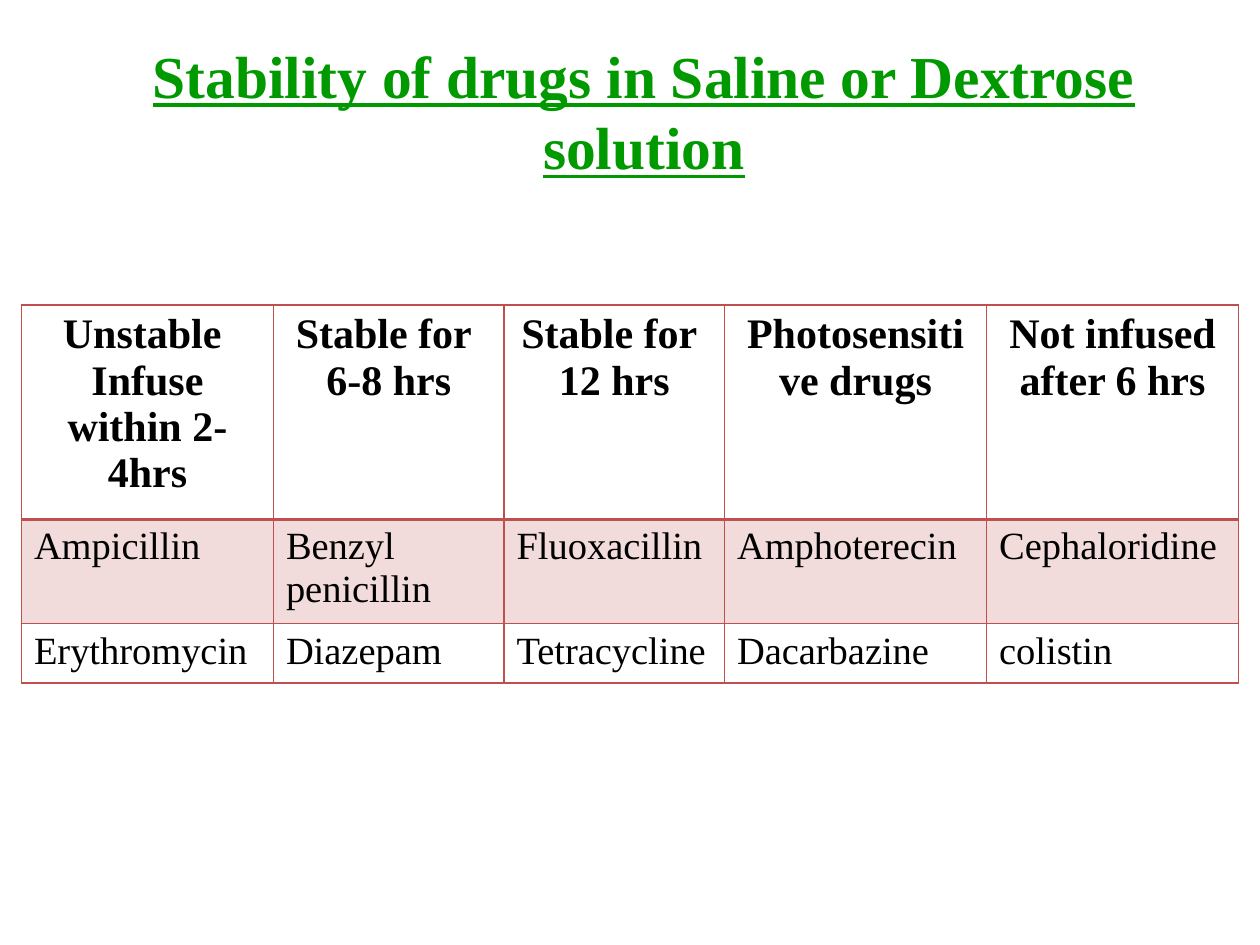
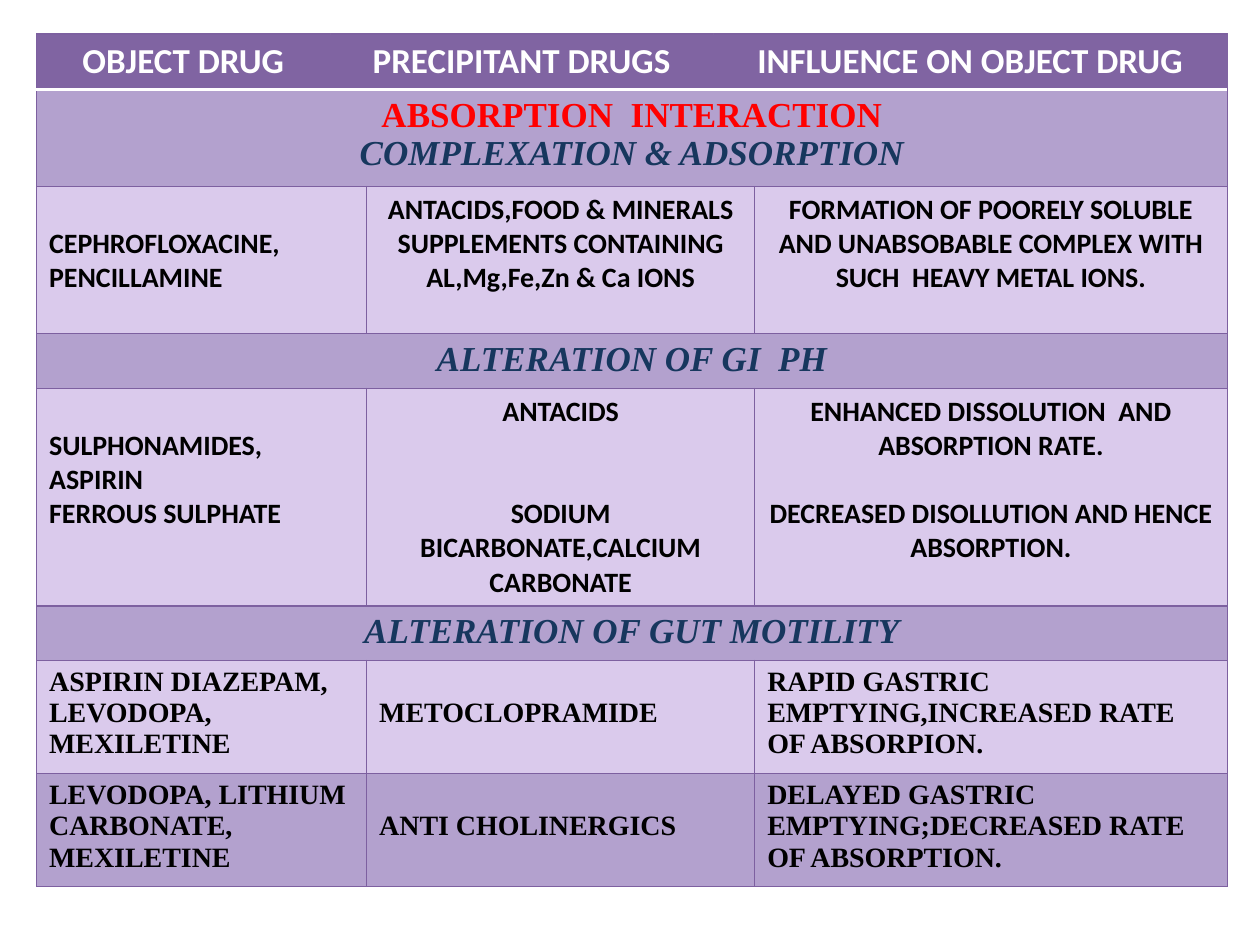
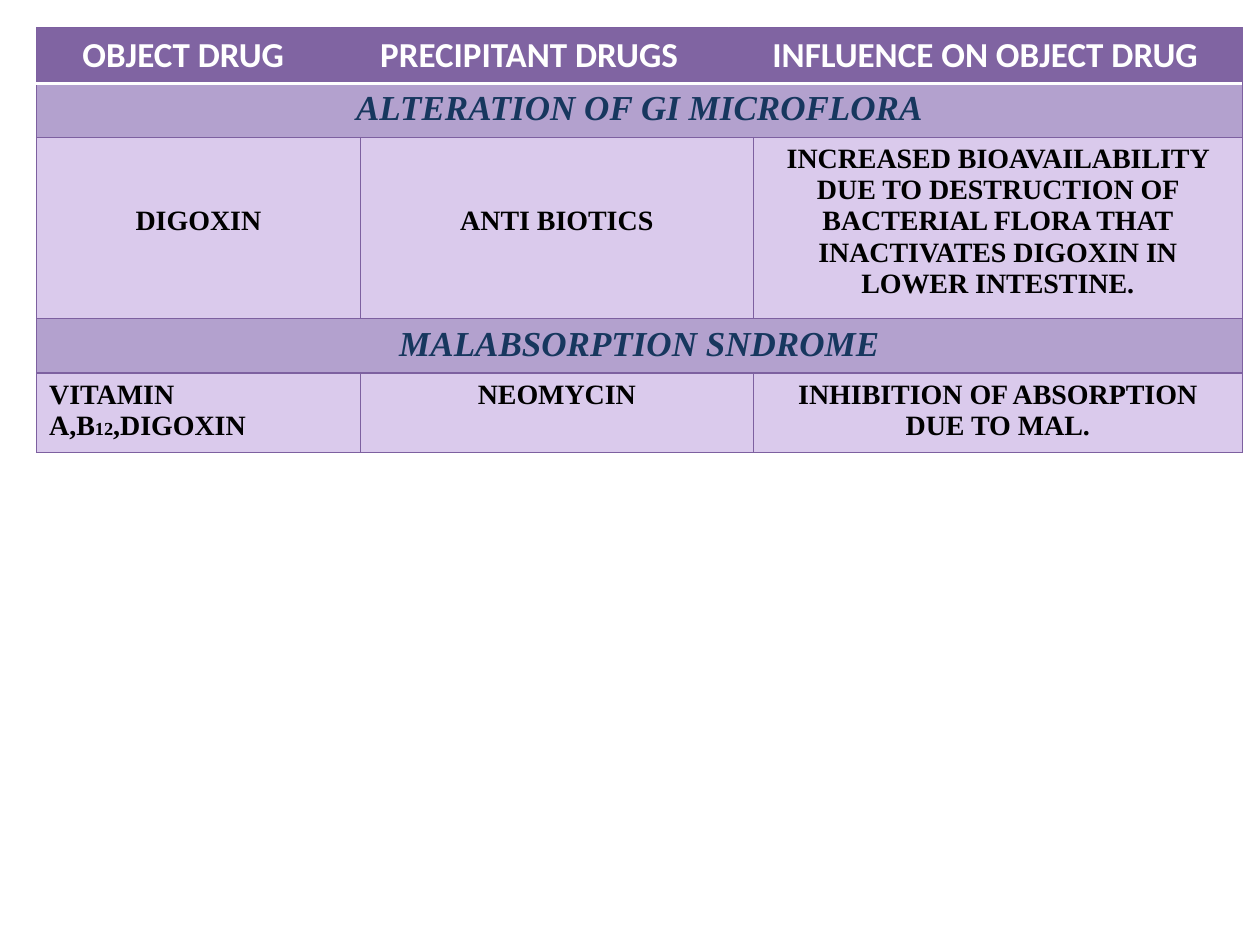
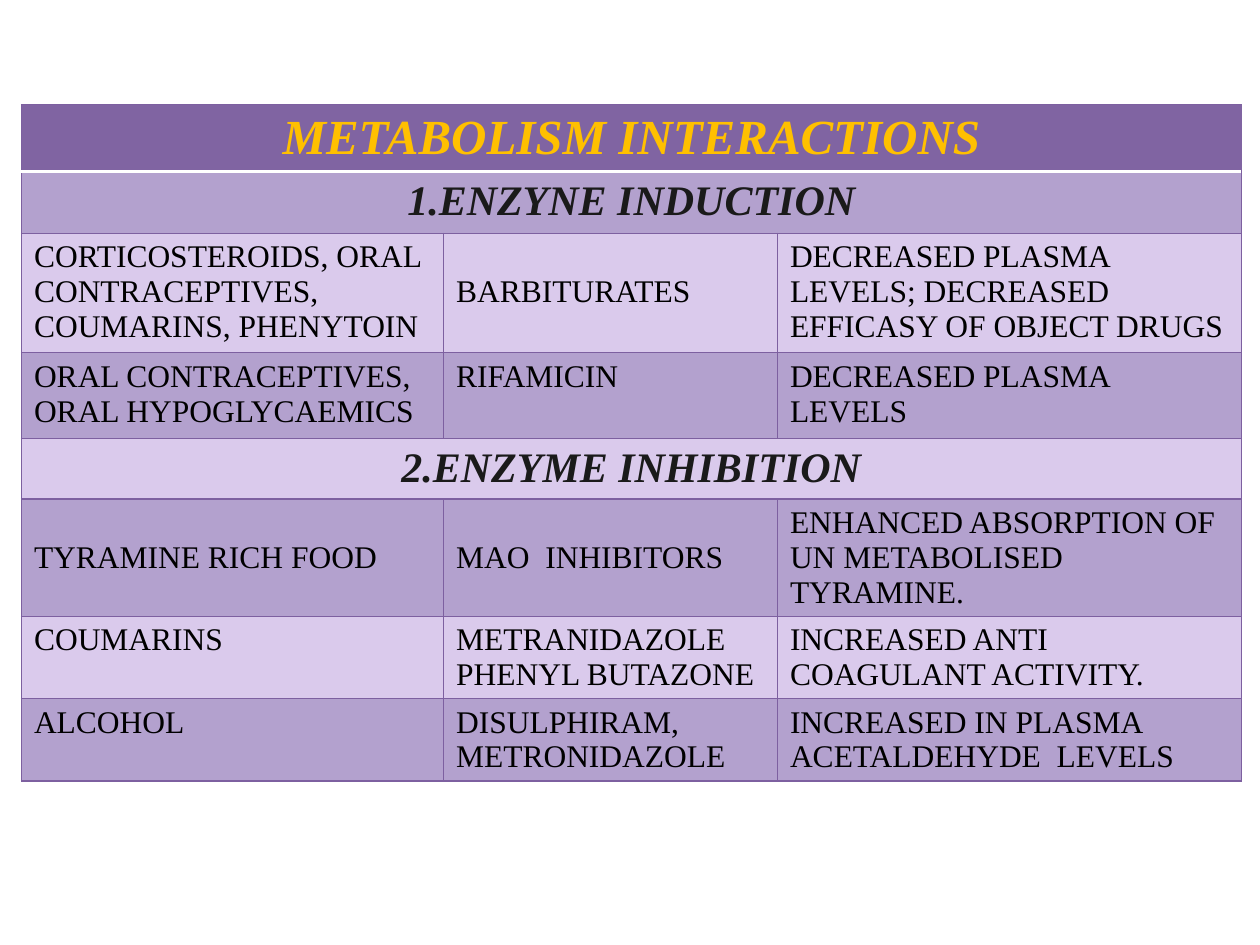
import dataclasses

import pptx
import pptx.dml.color
import pptx.enum.text
import pptx.oxml
import pptx.oxml.ns
import pptx.util
from pptx.util import Inches

COLORS = {
    "green": "009900", "black": "000000", "white": "FFFFFF", "red": "FF0000",
    "navy": "17375E", "gold": "FFC000", "ink": "1A1A1A",
    "purple": "8064A2", "purple_line": "7D60A0", "dark": "B3A1CE", "light": "DACAEC",
    "brick": "C0504D", "pink": "F2DCDB",
}
SERIF, SANS = "Times New Roman", "Calibri"
LINE_HEIGHT = {SERIF: 1.11, SANS: 1.22}
CELL_MARGIN = 0.05


@dataclasses.dataclass
class TextStyle:
    size: float
    font: str = SERIF
    color: str = "black"
    bold: bool = True
    italic: bool = False
    underline: bool = False
    centred: bool = False

    def lines(self, count):
        """Height of a number of lines, in points."""
        return count * self.size * LINE_HEIGHT[self.font]


STYLES = {
    "title": TextStyle(34, color="green", underline=True, centred=True),
    "stability_head": TextStyle(24, centred=True),
    "stability": TextStyle(22, bold=False),
    "head": TextStyle(20, SANS, "white", centred=True),
    "topic": TextStyle(20, color="red", centred=True),
    "section": TextStyle(20, color="navy", italic=True, centred=True),
    "sans": TextStyle(16, SANS),
    "sans_centred": TextStyle(16, SANS, centred=True),
    "serif": TextStyle(16),
    "serif_centred": TextStyle(16, centred=True),
    "index": TextStyle(10.5),
    "metabolism_head": TextStyle(28, color="gold", italic=True, centred=True),
    "enzyme": TextStyle(24, color="ink", italic=True, centred=True),
    "plain": TextStyle(18, bold=False),
}


@dataclasses.dataclass
class Entry:
    style: str
    paragraphs: list     # each a list of (text, style name)
    drop: int = 0        # lines the text starts below the cell's top
    gap: int = 0         # lines between paragraphs


def entry(style, *paragraphs, drop=0, gap=0):
    runs = [[(p, style)] if isinstance(p, str) else p for p in paragraphs]
    return Entry(style, runs, drop, gap)


def entries(style, *texts):
    return [entry(style, *text.split("\n")) for text in texts]


@dataclasses.dataclass
class Row:
    height: float
    fill: str
    cells: list
    starts: tuple = None     # first column of each cell


class Deck:
    def __init__(self):
        self.presentation = pptx.Presentation()
        self.presentation.slide_width = Inches(10)
        self.presentation.slide_height = Inches(7.5)
        self.slide = None

    def new_slide(self, layout=6):
        layouts = self.presentation.slide_layouts
        self.slide = self.presentation.slides.add_slide(layouts[layout])

    def color(self, name):
        return pptx.dml.color.RGBColor.from_string(COLORS[name])

    def add_runs(self, paragraph, runs):
        for text, style_name in runs:
            style = STYLES[style_name]
            run = paragraph.add_run()
            run.text = text
            font = run.font
            font.name, font.size = style.font, pptx.util.Pt(style.size)
            font.bold, font.italic, font.underline = style.bold, style.italic, style.underline
            font.color.rgb = self.color(style.color)
        centred = STYLES[runs[0][1]].centred
        align = pptx.enum.text.PP_ALIGN
        paragraph.alignment = align.CENTER if centred else align.LEFT

    def title(self, text, left, top, width, height):
        heading = self.slide.shapes.title
        heading.left, heading.top = Inches(left), Inches(top)
        heading.width, heading.height = Inches(width), Inches(height)
        self.add_runs(heading.text_frame.paragraphs[0], [(text, "title")])

    def fill(self, cell, name):
        if name is None:
            cell.fill.background()
        else:
            cell.fill.solid()
            cell.fill.fore_color.rgb = self.color(name)

    def borders(self, cell, sides):
        """sides maps L, R, T and B, in that order, to (colour name, points)."""
        properties = cell._tc.get_or_add_tcPr()
        for position, (side, (name, points)) in enumerate(sides.items()):
            line = pptx.oxml.parse_xml(
                f'<a:ln{side} {pptx.oxml.ns.nsdecls("a")} w="{int(points * 12700)}">'
                f'<a:solidFill><a:srgbClr val="{COLORS[name]}"/></a:solidFill>'
                f'</a:ln{side}>')
            properties.insert(position, line)

    def fill_in(self, cell, content):
        style = STYLES[content.style]
        cell.margin_top = Inches(CELL_MARGIN) + pptx.util.Pt(style.lines(content.drop))
        frame = cell.text_frame
        for number, runs in enumerate(content.paragraphs):
            paragraph = frame.add_paragraph() if number else frame.paragraphs[0]
            if number and content.gap:
                paragraph.space_before = pptx.util.Pt(style.lines(content.gap))
            self.add_runs(paragraph, runs)

    def table(self, left, top, widths, rows, line, head_line):
        table = self.slide.shapes.add_table(
            len(rows), len(widths), Inches(left), Inches(top),
            Inches(sum(widths)), Inches(sum(row.height for row in rows))).table
        table.first_row = table.horz_banding = False
        for column, width in zip(table.columns, widths):
            column.width = Inches(width)
        last = len(widths) - 1
        for r, row in enumerate(rows):
            table.rows[r].height = Inches(row.height)
            for c in range(len(widths)):
                cell = table.cell(r, c)
                self.fill(cell, row.fill)
                # A filled header shows no dividers between its cells
                inner = (row.fill, line[1]) if r == 0 and row.fill else line
                self.borders(cell, {
                    "L": line if c == 0 else inner,
                    "R": line if c == last else inner,
                    "T": head_line if r == 1 else line,
                    "B": head_line if r == 0 else line})
            starts = row.starts or tuple(range(len(row.cells)))
            ends = starts[1:] + (len(widths),)
            for content, start, end in zip(row.cells, starts, ends):
                cell = table.cell(r, start)
                if end - start > 1:
                    cell.merge(table.cell(r, end - 1))
                self.fill_in(cell, content)


# Parts shared by the drug interaction tables
PURPLE_LINES = {"line": ("purple_line", 0.75), "head_line": ("white", 2)}
HEAD_STARTS, BODY_STARTS = (0, 1, 3), (0, 2, 4)
DRUG_HEAD = Row(0.43, "purple", entries(
    "head", "OBJECT DRUG", "PRECIPITANT DRUGS", "INFLUENCE ON OBJECT DRUG"), HEAD_STARTS)


def section(text):
    return Row(0.43, "dark", entries("section", text))


def drugs(height, *cells, fill="light"):
    return Row(height, fill, list(cells), BODY_STARTS)


def stability_slide(deck):
    deck.new_slide(layout=5)
    deck.title("Stability of drugs in Saline or Dextrose solution", 0.5, 0.25, 9.22, 1.25)
    deck.table(0.17, 2.42, [2, 1.83, 1.75, 2.08, 2], [
        Row(1.7, None, entries(
            "stability_head", "Unstable \nInfuse within 2-4hrs", "Stable for \n6-8 hrs",
            "Stable for \n12 hrs", "Photosensitive drugs", "Not infused after 6 hrs")),
        Row(0.83, "pink", entries(
            "stability", "Ampicillin", "Benzyl penicillin", "Fluoxacillin",
            "Amphoterecin", "Cephaloridine")),
        Row(0.47, None, entries(
            "stability", "Erythromycin", "Diazepam", "Tetracycline",
            "Dacarbazine", "colistin")),
    ], line=("brick", 1), head_line=("brick", 2))


def absorption_slide(deck):
    deck.new_slide()
    deck.table(0.29, 0.27, [2.33, 0.29, 2.75, 0.33, 3.75], [
        DRUG_HEAD,
        Row(0.77, "dark", [entry(
            "section", [("ABSORPTION  INTERACTION", "topic")], "COMPLEXATION & ADSORPTION")]),
        drugs(1.17,
              entry("sans", "CEPHROFLOXACINE,", "PENCILLAMINE", drop=1),
              entry("sans_centred", "ANTACIDS,FOOD & MINERALS SUPPLEMENTS CONTAINING "
                    "AL,Mg,Fe,Zn & Ca IONS"),
              entry("sans_centred", "FORMATION OF POORELY SOLUBLE AND UNABSOBABLE COMPLEX "
                    "WITH SUCH  HEAVY METAL IONS.")),
        section("ALTERATION OF GI  PH"),
        drugs(1.7,
              entry("sans", "SULPHONAMIDES,", "ASPIRIN", "FERROUS SULPHATE", drop=1),
              entry("sans_centred", "ANTACIDS", "SODIUM BICARBONATE,CALCIUM CARBONATE", gap=2),
              entry("sans_centred", "ENHANCED DISSOLUTION  AND ABSORPTION RATE.",
                    "DECREASED DISOLLUTION AND HENCE ABSORPTION.", gap=1)),
        section("ALTERATION OF GUT MOTILITY"),
        drugs(0.9,
              entry("serif", "ASPIRIN DIAZEPAM, LEVODOPA, MEXILETINE"),
              entry("serif", "METOCLOPRAMIDE", drop=1),
              entry("serif", "RAPID GASTRIC EMPTYING,INCREASED RATE OF ABSORPION.")),
        drugs(0.9,
              entry("serif", "LEVODOPA, LITHIUM CARBONATE,", "MEXILETINE"),
              entry("serif", "ANTI CHOLINERGICS", drop=1),
              entry("serif", "DELAYED GASTRIC EMPTYING;DECREASED RATE OF ABSORPTION."),
              fill="dark"),
    ], **PURPLE_LINES)


def microflora_slide(deck):
    deck.new_slide()
    deck.table(0.29, 0.22, [2.33, 0.24, 2.92, 0.2, 3.88], [
        DRUG_HEAD,
        section("ALTERATION OF GI MICROFLORA"),
        drugs(1.44,
              entry("serif_centred", "DIGOXIN", drop=2),
              entry("serif_centred", "ANTI BIOTICS", drop=2),
              entry("serif_centred", "INCREASED BIOAVAILABILITY DUE TO DESTRUCTION OF BACTERIAL "
                    "FLORA THAT INACTIVATES DIGOXIN IN LOWER INTESTINE.")),
        section("MALABSORPTION SNDROME"),
        drugs(0.63,
              entry("serif", [("VITAMIN A,B", "serif"), ("12", "index"), (",DIGOXIN", "serif")]),
              entry("serif_centred", "NEOMYCIN"),
              entry("serif_centred", "INHIBITION OF ABSORPTION DUE TO MAL.")),
    ], **PURPLE_LINES)


def metabolism_slide(deck):
    deck.new_slide()
    deck.table(0.17, 0.83, [3.35, 2.65, 3.68], [
        Row(0.53, "purple", entries("metabolism_head", "METABOLISM INTERACTIONS"), (0,)),
        Row(0.49, "dark", entries("enzyme", "1.ENZYNE INDUCTION")),
        Row(0.95, "light", [
            entry("plain", "CORTICOSTEROIDS, ORAL CONTRACEPTIVES, COUMARINS, PHENYTOIN"),
            entry("plain", "BARBITURATES", drop=1),
            entry("plain", "DECREASED PLASMA LEVELS; DECREASED EFFICASY OF OBJECT DRUGS")]),
        Row(0.68, "dark", entries(
            "plain", "ORAL CONTRACEPTIVES,\nORAL HYPOGLYCAEMICS", "RIFAMICIN",
            "DECREASED PLASMA LEVELS")),
        Row(0.48, "light", entries("enzyme", "2.ENZYME INHIBITION")),
        Row(0.93, "dark", [
            entry("plain", "TYRAMINE RICH FOOD", drop=1),
            entry("plain", "MAO  INHIBITORS", drop=1),
            entry("plain", "ENHANCED ABSORPTION OF", "UN METABOLISED TYRAMINE.")]),
        Row(0.65, "light", entries(
            "plain", "COUMARINS", "METRANIDAZOLE\nPHENYL BUTAZONE",
            "INCREASED ANTI COAGULANT ACTIVITY.")),
        Row(0.65, "dark", entries(
            "plain", "ALCOHOL", "DISULPHIRAM,\nMETRONIDAZOLE",
            "INCREASED IN PLASMA ACETALDEHYDE  LEVELS")),
    ], **PURPLE_LINES)


def main():
    deck = Deck()
    for build in (stability_slide, absorption_slide, microflora_slide, metabolism_slide):
        build(deck)
    deck.presentation.save("out.pptx")


if __name__ == "__main__":
    main()
